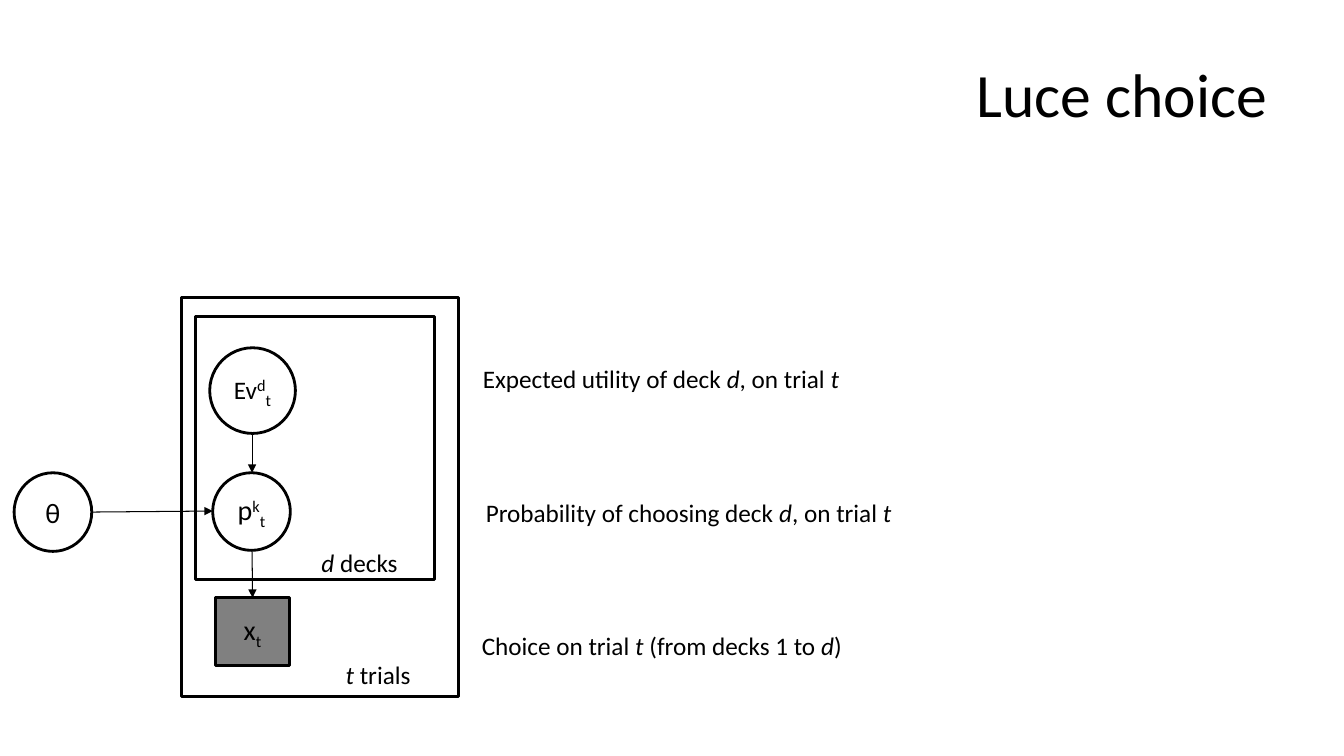
"""Build the Luce choice slide: a graphical model with labelled nodes and plates."""
import pptx
import pptx.dml.color
import pptx.enum.shapes
import pptx.enum.text
import pptx.oxml
import pptx.util
from pptx.util import Inches

BLACK = pptx.dml.color.RGBColor(0, 0, 0)
GRAY = pptx.dml.color.RGBColor(0x80, 0x80, 0x80)
SHAPE = pptx.enum.shapes.MSO_SHAPE
ALIGN = pptx.enum.text.PP_ALIGN
ANCHOR = pptx.enum.text.MSO_ANCHOR
ITALIC = {"italic": True}
SUP = {"baseline": 30000}
SUB = {"baseline": -25000}


def add_run(p, text, size=18, italic=False, baseline=None):
    r = p.add_run()
    r.text = text
    r.font.name = "Calibri"
    r.font.size = pptx.util.Pt(size)
    r.font.italic = italic
    r.font.color.rgb = BLACK
    if baseline:
        r.font._element.set("baseline", str(baseline))


def add_node(slide, kind, box, runs=(), fill=None):
    sp = slide.shapes.add_shape(kind, *map(Inches, box))
    sp.shadow.inherit = False
    sp.line.color.rgb = BLACK
    sp.line.width = pptx.util.Pt(2)
    if fill is None:
        sp.fill.background()
    else:
        sp.fill.solid()
        sp.fill.fore_color.rgb = fill
    tf = sp.text_frame
    tf.margin_left = tf.margin_right = 0
    tf.vertical_anchor = ANCHOR.MIDDLE
    p = tf.paragraphs[0]
    p.alignment = ALIGN.CENTER
    for text, style in runs:
        add_run(p, text, **{"size": 20, **style})
    return sp


prs = pptx.Presentation()
prs.slide_width = Inches(13.33)
prs.slide_height = Inches(7.5)
slide = prs.slides.add_slide(prs.slide_layouts[6])

for plate in [(1.8, 2.95, 2.75, 3.96), (1.94, 3.14, 2.37, 2.61)]:
    add_node(slide, SHAPE.RECTANGLE, plate)

add_node(slide, SHAPE.OVAL, (0.14, 4.69, 0.77, 0.78), [("θ", {})])
add_node(slide, SHAPE.OVAL, (2.08, 3.45, 0.85, 0.85),
         [("Ev", {"size": 18}), ("d", SUP), ("t", SUB)])
add_node(slide, SHAPE.OVAL, (2.11, 4.69, 0.77, 0.77),
         [("p", {}), ("k", SUP), ("t", SUB)])
choice = add_node(slide, SHAPE.RECTANGLE, (2.14, 5.93, 0.73, 0.67),
                  [("x", {}), ("t", SUB)], fill=GRAY)

arrows = [
    ((2.5, 4.3, 2.5, 4.69), None),
    ((2.5, 5.47, 2.5, 5.93), choice),
    ((0.91, 5.08, 2.11, 5.07), None),
]
for ends, target in arrows:
    line = slide.shapes.add_connector(
        pptx.enum.shapes.MSO_CONNECTOR.STRAIGHT, *map(Inches, ends))
    if target is not None:
        line.end_connect(target, 0)
    line.line.color.rgb = BLACK
    line.line.width = pptx.util.Pt(0.75)
    ln = line.line._get_or_add_ln()
    tail = pptx.oxml.parse_xml(
        '<a:tailEnd xmlns:a="http://schemas.openxmlformats.org/drawingml/2006/main" type="triangle"/>')
    ln.append(tail)
    effects = pptx.oxml.parse_xml(
        '<a:effectLst xmlns:a="http://schemas.openxmlformats.org/drawingml/2006/main"/>')
    ln.addnext(effects)

on_trial = [("d", ITALIC), (", on trial ", {}), ("t", ITALIC)]
labels = [
    ((0.67, 0.3, 12, 1.25), [("Luce choice", {"size": 44})], ALIGN.RIGHT, ANCHOR.MIDDLE),
    ((4.69, 3.56, 4.7, 0.4), [("Expected utility of deck ", {}), *on_trial], ALIGN.LEFT, ANCHOR.TOP),
    ((4.72, 4.88, 4.7, 0.4), [("Probability of choosing deck ", {}), *on_trial], ALIGN.LEFT, ANCHOR.TOP),
    ((4.68, 6.2, 4.05, 0.4),
     [("Choice on trial ", {}), ("t", ITALIC), (" (from decks 1 to ", {}), ("d", ITALIC), (")", {})],
     ALIGN.LEFT, ANCHOR.TOP),
    ((3.09, 5.38, 1.22, 0.4), [("d ", ITALIC), ("decks", {})], ALIGN.LEFT, ANCHOR.TOP),
    ((3.33, 6.49, 1.22, 0.4), [("t ", ITALIC), ("trials", {})], ALIGN.LEFT, ANCHOR.TOP),
]
for box, runs, align, anchor in labels:
    tf = slide.shapes.add_textbox(*map(Inches, box)).text_frame
    tf.word_wrap = True
    tf.vertical_anchor = anchor
    p = tf.paragraphs[0]
    p.alignment = align
    for text, style in runs:
        add_run(p, text, **style)

prs.save("out.pptx")
